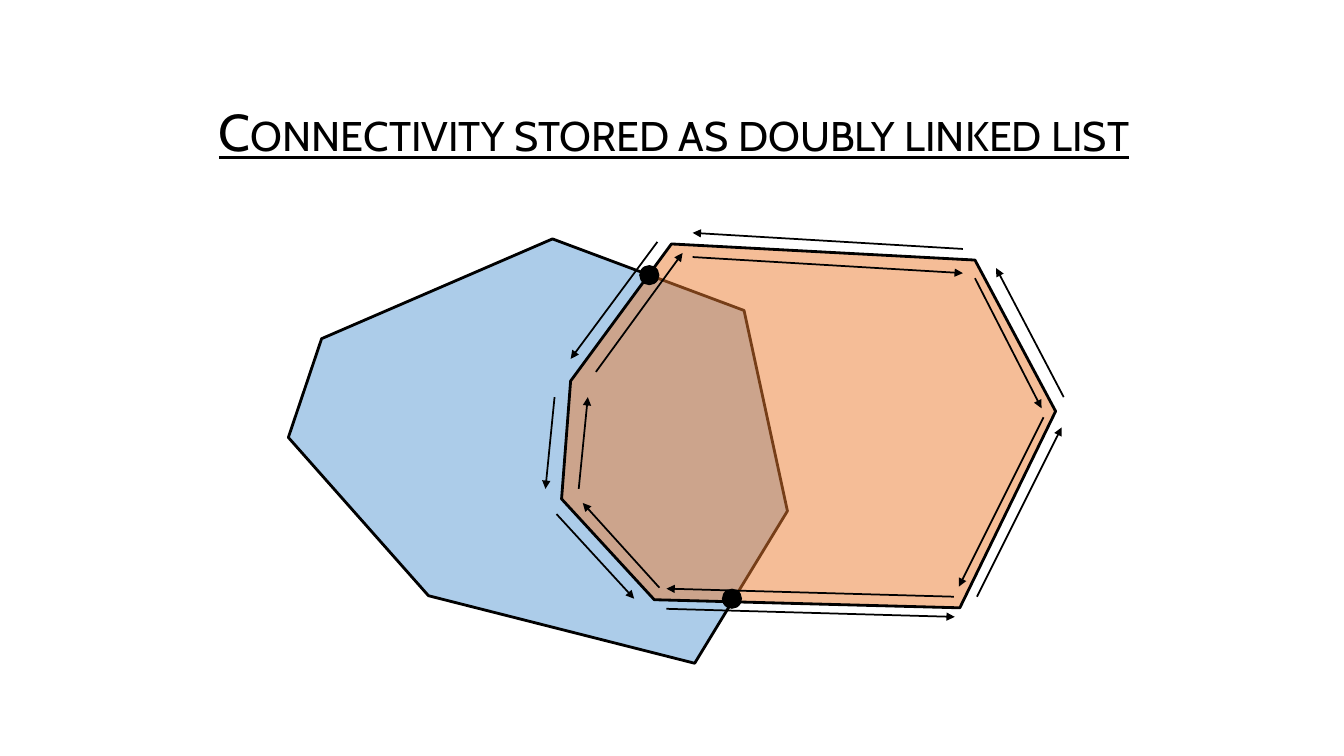
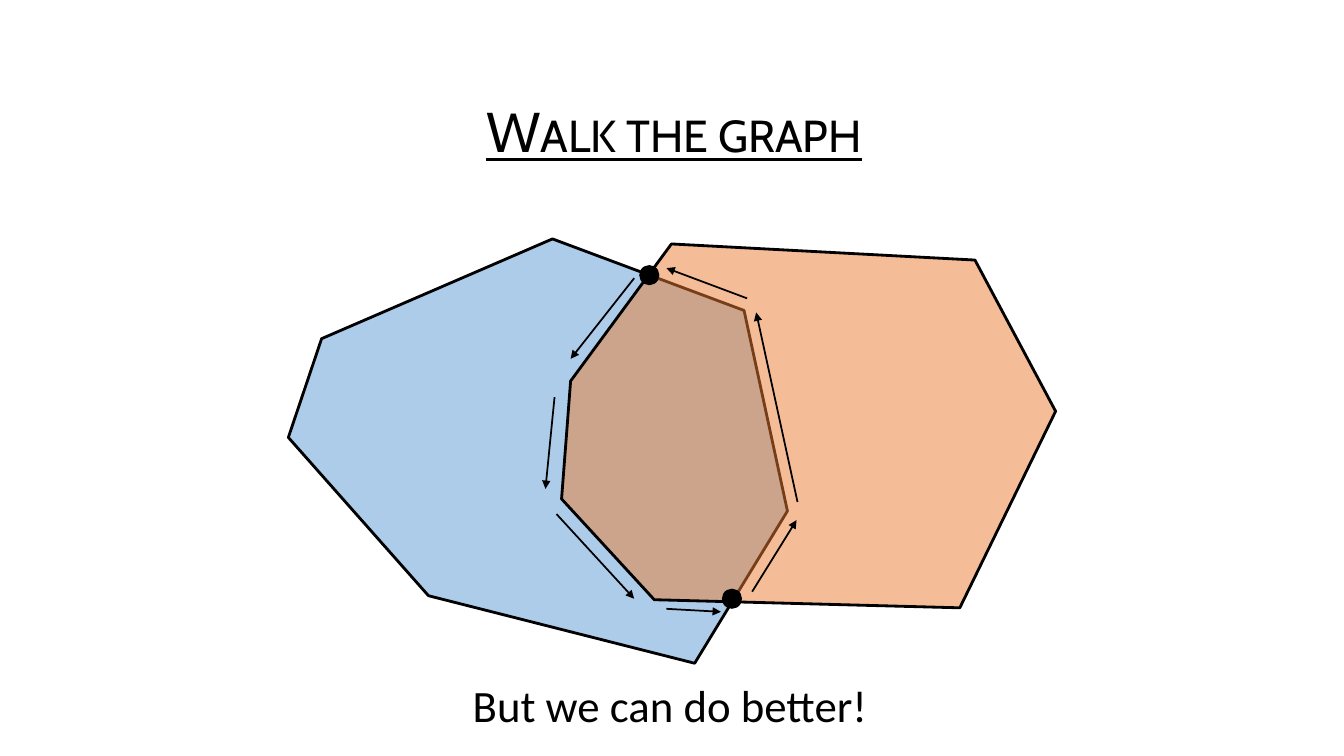
"""Builds two slides on the intersection of convex polygons."""
from lxml import etree
from pptx import Presentation
from pptx.dml.color import RGBColor
from pptx.enum.shapes import MSO_CONNECTOR, MSO_SHAPE
from pptx.enum.text import MSO_ANCHOR, MSO_AUTO_SIZE, PP_ALIGN
from pptx.oxml.ns import qn
from pptx.util import Pt

STRAIGHT = MSO_CONNECTOR.STRAIGHT
OVAL = MSO_SHAPE.OVAL
MIDDLE = MSO_ANCHOR.MIDDLE
FIT_SHAPE = MSO_AUTO_SIZE.SHAPE_TO_FIT_TEXT
CENTER = PP_ALIGN.CENTER

EMU_PER_PX = 9144
SLIDE_SIZE = (1333, 750)
COLORS = {"ink": "000000", "blue": "5B9BD5", "orange": "ED7D31"}
OPACITY = 50

TITLE_BOX = (174, 91, 984, 85)
CAPTION_BOX = (459, 667, 416, 64)
DOT_SIZE = 20
DOT_CENTERS = [(644, 273), (726, 594)]
POLYGONS = [
    ("blue", [(286, 434), (425, 591), (689, 658), (781, 507), (738, 308), (548, 237), (319, 336)]),
    ("orange", [(557, 495), (649, 595), (952, 603), (1047, 408), (967, 258), (666, 242), (566, 378)]),
]

SHARED_ARROWS = [((550, 394), (541, 485)), ((552, 510), (629, 594))]
OUTER_ARROWS = [
    ((652, 240), (566, 356)),
    *SHARED_ARROWS,
    ((661, 604), (947, 612)),
    ((969, 592), (1053, 424)),
    ((1055, 394), (988, 266)),
    ((955, 247), (687, 231)),
]
INNER_ARROWS = [
    ((591, 369), (677, 251)),
    ((574, 485), (583, 394)),
    ((654, 583), (578, 499)),
    ((946, 592), (661, 584)),
    ((1035, 414), (951, 582)),
    ((967, 276), (1033, 405)),
    ((687, 255), (955, 271)),
]
WALK_ARROWS = [
    ((629, 276), (566, 356)),
    *SHARED_ARROWS,
    ((661, 604), (715, 607)),
    ((746, 587), (790, 516)),
    ((791, 498), (750, 310)),
    ((741, 296), (661, 266)),
]
SLIDES = [
    {"title": "Connectivity stored as doubly linked list", "size": 37,
     "arrows": OUTER_ARROWS + INNER_ARROWS},
    {"title": "Walk the graph", "size": 40, "arrows": WALK_ARROWS,
     "caption": "But we can do better!"},
]


def px(*lengths):
    return [length * EMU_PER_PX for length in lengths]


def color(name):
    return RGBColor.from_string(COLORS[name])


def set_fill(shape, name):
    shape.shadow.inherit = False
    shape.fill.solid()
    shape.fill.fore_color.rgb = color(name)


def set_line(shape, width):
    shape.line.color.rgb = color("ink")
    shape.line.width = Pt(width)


def add_text(slide, box, text, font_name, size):
    frame = slide.shapes.add_textbox(*px(*box)).text_frame
    frame.text = text
    paragraph = frame.paragraphs[0]
    font = paragraph.runs[0].font
    font.name = font_name
    font.size = Pt(size)
    font.color.rgb = color("ink")
    return frame, paragraph, font


def add_title(slide, text, size):
    frame, paragraph, font = add_text(slide, TITLE_BOX, text, "Cabin", size)
    frame.word_wrap = True
    frame.vertical_anchor = MIDDLE
    frame.margin_left, frame.margin_right = px(15, 10)
    paragraph.alignment = CENTER
    paragraph.line_spacing = 0.9
    paragraph.space_before = Pt(10)
    font.underline = True
    paragraph.runs[0].font._element.set("cap", "small")


def add_caption(slide, text):
    frame, _, _ = add_text(slide, CAPTION_BOX, text, "Calibri", 32)
    frame.word_wrap = False
    frame.auto_size = FIT_SHAPE


def add_polygons(slide):
    group = slide.shapes.add_group_shape()
    for name, points in POLYGONS:
        builder = group.shapes.build_freeform(*points[0], scale=EMU_PER_PX)
        builder.add_line_segments(points[1:], close=True)
        polygon = builder.convert_to_shape()
        set_fill(polygon, name)
        set_line(polygon, 2)
        fill_color = polygon._element.spPr.find(qn("a:solidFill"))[0]
        etree.SubElement(fill_color, qn("a:alpha"), val=str(OPACITY * 1000))


def add_dots(slide):
    for x, y in DOT_CENTERS:
        corner = (x - DOT_SIZE // 2, y - DOT_SIZE // 2)
        dot = slide.shapes.add_shape(OVAL, *px(*corner, DOT_SIZE, DOT_SIZE))
        set_fill(dot, "ink")
        dot.line.fill.background()


def add_arrow(slide, start, end):
    arrow = slide.shapes.add_connector(STRAIGHT, *px(*start, *end))
    set_line(arrow, 1.25)
    properties = arrow._element.spPr
    etree.SubElement(properties.find(qn("a:ln")), qn("a:tailEnd"), type="triangle")
    etree.SubElement(properties, qn("a:effectLst"))


def main():
    presentation = Presentation()
    presentation.slide_width, presentation.slide_height = px(*SLIDE_SIZE)
    for content in SLIDES:
        slide = presentation.slides.add_slide(presentation.slide_layouts[6])
        add_title(slide, content["title"], content["size"])
        add_polygons(slide)
        add_dots(slide)
        for start, end in content["arrows"]:
            add_arrow(slide, start, end)
        if "caption" in content:
            add_caption(slide, content["caption"])
    presentation.save("out.pptx")


if __name__ == "__main__":
    main()
